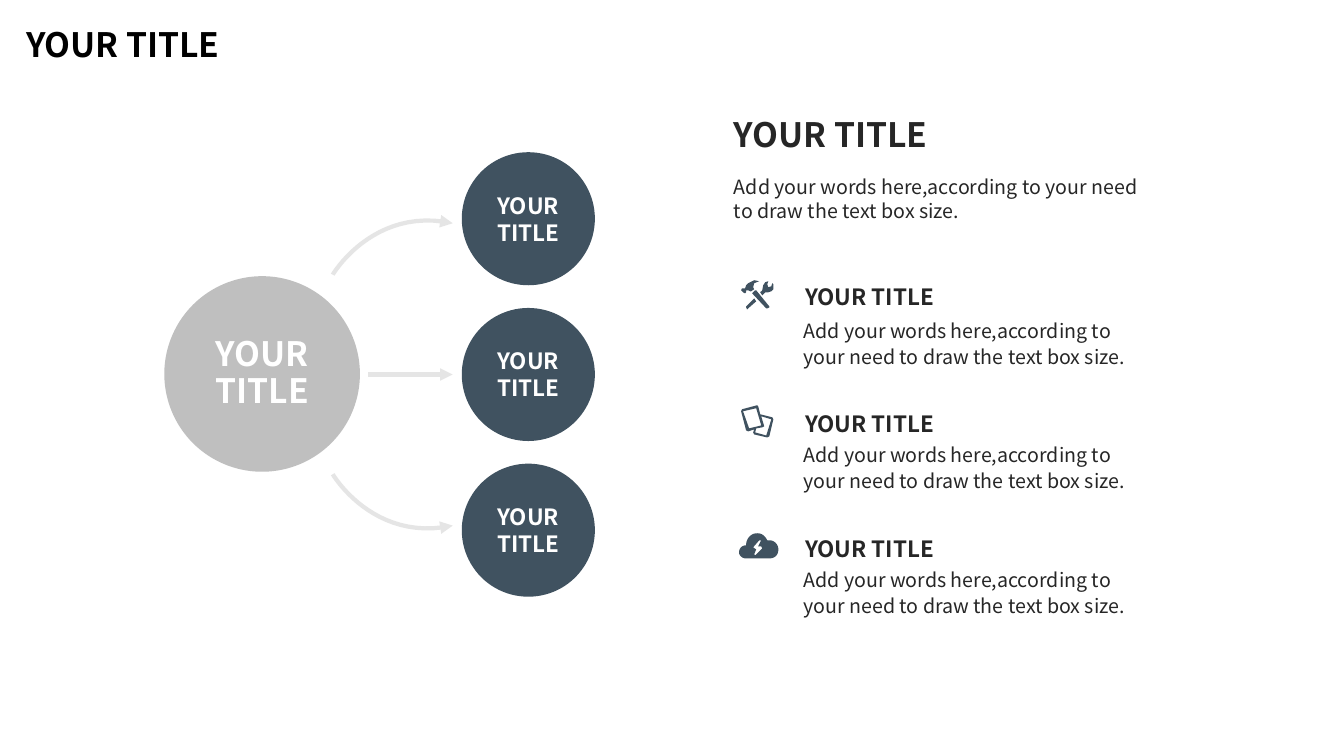
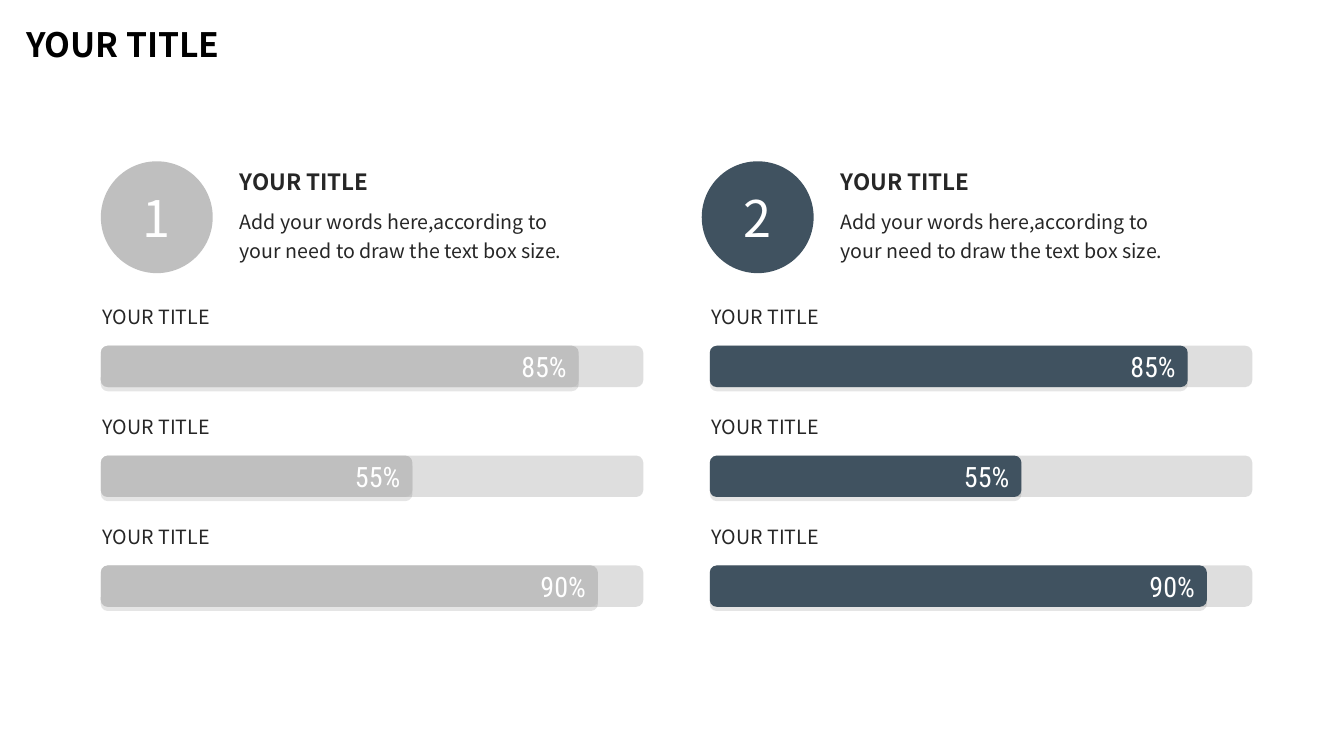
from dataclasses import dataclass
from itertools import chain
from typing import NamedTuple

from lxml.etree import SubElement
from pptx import Presentation
from pptx.dml.color import RGBColor
from pptx.enum.shapes import MSO_CONNECTOR, MSO_SHAPE
from pptx.enum.text import MSO_ANCHOR, MSO_AUTO_SIZE, PP_ALIGN
from pptx.oxml.ns import qn
from pptx.util import Inches, Pt


@dataclass(frozen=True)
class Theme:
    font: str = "Noto Sans CJK SC"
    number_font: str = "Roboto Condensed"
    black: str = "000000"
    ink: str = "262626"
    white: str = "FFFFFF"
    gray: str = "BFBFBF"
    navy: str = "405260"
    arrow: str = "E5E5E5"
    title_size: int = 24
    heading_size: int = 16
    body_size: int = 14
    percent_size: int = 20
    number_size: int = 36
    arrow_width: int = 3


THEME = Theme()
TITLE = "YOUR TITLE"
BODY = "Add your words here,according to your need to draw the text box size."


class TextStyle(NamedTuple):
    size: int
    color: str
    bold: bool = False
    align: PP_ALIGN = PP_ALIGN.LEFT
    spacing: float = 1.0
    font: str = THEME.font
    wrap: bool = True
    margins: tuple = (0.1, 0.05)


class Area(NamedTuple):
    left: float
    top: float
    width: float
    height: float


class Item(NamedTuple):
    heading_top: float
    body_top: float
    icon: tuple


class Bar(NamedTuple):
    value: str
    width: float


class Column(NamedTuple):
    number: str
    color: str
    circle_left: float
    bars_left: float


def curve(points: list, steps: int = 12) -> list:
    """Trace a chain of cubic curves given as start, then triples of controls and end."""
    traced = [points[0]]
    for first in range(0, len(points) - 1, 3):
        for step in range(1, steps + 1):
            t = step / steps
            weights = ((1 - t) ** 3, 3 * t * (1 - t) ** 2, 3 * t * t * (1 - t), t ** 3)
            knots = points[first:first + 4]
            traced.append(tuple(sum(w * k[axis] for w, k in zip(weights, knots))
                                for axis in (0, 1)))
    return traced


TOOLS_ICON = (
    [(7.35, 2.88), (7.37, 2.9), (7.39, 2.91), (7.4, 2.9), (7.4, 2.88), (7.42, 2.88),
     (7.44, 2.89), (7.45, 2.89), (7.48, 2.87), (7.47, 2.85), (7.48, 2.81), (7.53, 2.79),
     (7.48, 2.78), (7.42, 2.81), (7.4, 2.83), (7.39, 2.86), (7.36, 2.86)],
    [(7.5, 2.88), (7.49, 2.88), (7.46, 2.91), (7.6, 3.06), (7.61, 3.06), (7.63, 3.05),
     (7.63, 3.04)],
    [(7.67, 2.82), (7.66, 2.81), (7.65, 2.84), (7.62, 2.85), (7.61, 2.82), (7.62, 2.79),
     (7.59, 2.8), (7.57, 2.83), (7.56, 2.88), (7.54, 2.9), (7.56, 2.93), (7.59, 2.9),
     (7.62, 2.9), (7.65, 2.89), (7.67, 2.87)],
    [(7.4, 3.04), (7.4, 3.05), (7.41, 3.07), (7.42, 3.06), (7.5, 2.99), (7.48, 2.96)],
)
CARDS_ICON = (
    [(7.66, 4.14), (7.54, 4.11), (7.52, 4.03), (7.51, 4.02), (7.36, 4.06), (7.35, 4.08),
     (7.4, 4.27), (7.42, 4.28), (7.48, 4.26), (7.47, 4.29), (7.48, 4.31), (7.61, 4.34),
     (7.63, 4.33), (7.67, 4.16)],
    [(7.37, 4.08), (7.5, 4.05), (7.55, 4.22), (7.43, 4.25)],
    [(7.6, 4.32), (7.49, 4.29), (7.5, 4.25), (7.56, 4.24), (7.58, 4.23), (7.55, 4.13),
     (7.65, 4.16)],
)
CLOUD_ICON = (
    curve([(7.61, 5.36), (7.59, 5.32), (7.56, 5.29), (7.51, 5.29),
           (7.45, 5.29), (7.4, 5.34), (7.4, 5.41),
           (7.36, 5.41), (7.33, 5.44), (7.33, 5.48),
           (7.33, 5.51), (7.36, 5.54), (7.4, 5.54),
           (7.4, 5.54), (7.63, 5.54), (7.63, 5.54),
           (7.68, 5.54), (7.72, 5.51), (7.72, 5.45),
           (7.72, 5.4), (7.68, 5.36), (7.63, 5.36)]),
    [(7.53, 5.36), (7.55, 5.36), (7.52, 5.42), (7.55, 5.42), (7.56, 5.44), (7.49, 5.51),
     (7.48, 5.5), (7.5, 5.45), (7.47, 5.43)],
)

ITEMS = (
    Item(2.76, 3.09, TOOLS_ICON),
    Item(4.02, 4.32, CARDS_ICON),
    Item(5.26, 5.56, CLOUD_ICON),
)
BARS = (Bar("85%", 4.74), Bar("55%", 3.09), Bar("90%", 4.93))
COLUMNS = (
    Column("1", THEME.gray, 1, 1),
    Column("2", THEME.navy, 6.96, 7.04),
)

PAGE_TITLE = TextStyle(THEME.title_size, THEME.black, bold=True)
BODY_STYLE = TextStyle(THEME.body_size, THEME.ink)
HEADING_STYLE = TextStyle(THEME.heading_size, THEME.ink, bold=True)
CIRCLE_STYLE = TextStyle(THEME.heading_size, THEME.white, bold=True,
                         align=PP_ALIGN.CENTER, margins=(0, 0))
LEAD_MARGINS = (0.13, 0.07)


def set_all(target, values: dict) -> None:
    for name, value in values.items():
        setattr(target, name, value)


def write(shape, text: str, style: TextStyle, anchor=MSO_ANCHOR.TOP) -> None:
    frame = shape.text_frame
    across, down = map(Inches, style.margins)
    set_all(frame, {"margin_left": across, "margin_right": across, "margin_top": down,
                    "margin_bottom": down, "word_wrap": style.wrap,
                    "vertical_anchor": anchor})
    para = frame.paragraphs[0]
    set_all(para, {"alignment": style.align, "line_spacing": style.spacing})
    span = para.add_run()
    span.text = text
    set_all(span.font, {"name": style.font, "size": Pt(style.size), "bold": style.bold})
    span.font.color.rgb = RGBColor.from_string(style.color)


def add_text(page, area: Area, text: str, style: TextStyle, grow: bool = True) -> None:
    box = page.shapes.add_textbox(*map(Inches, area))
    write(box, text, style)
    box.text_frame.auto_size = MSO_AUTO_SIZE.SHAPE_TO_FIT_TEXT if grow else MSO_AUTO_SIZE.NONE


def paint(shape, color: str) -> None:
    shape.shadow.inherit = False
    shape.fill.solid()
    shape.fill.fore_color.rgb = RGBColor.from_string(color)
    shape.line.fill.background()


def add_preset(page, kind: MSO_SHAPE, area: Area, color: str):
    shape = page.shapes.add_shape(kind, *map(Inches, area))
    paint(shape, color)
    return shape


def add_circle(page, left: float, top: float, size: float, color: str,
               text: str, style: TextStyle) -> None:
    circle = add_preset(page, MSO_SHAPE.OVAL, Area(left, top, size, size), color)
    write(circle, text, style, MSO_ANCHOR.MIDDLE)


def add_outline(page, contours: tuple, close: bool = True):
    scaled = [[(Inches(x), Inches(y)) for x, y in contour] for contour in contours]
    builder = page.shapes.build_freeform(*scaled[0][0], scale=1.0)
    for index, (start, *rest) in enumerate(scaled):
        if index:
            builder.move_to(*start)
        builder.add_line_segments(rest, close=close)
    return builder.convert_to_shape()


def style_arrow(shape) -> None:
    shape.line.color.rgb = RGBColor.from_string(THEME.arrow)
    shape.line.width = Pt(THEME.arrow_width)
    properties = shape._element.spPr
    SubElement(properties.find(qn("a:ln")), qn("a:tailEnd"), type="triangle")


def add_curved_arrow(page, points: list) -> None:
    arrow = add_outline(page, (curve(points, 24),), close=False)
    arrow.shadow.inherit = False
    arrow.fill.background()
    style_arrow(arrow)


def add_straight_arrow(page, left: float, right: float, y: float) -> None:
    arrow = page.shapes.add_connector(MSO_CONNECTOR.STRAIGHT,
                                      *map(Inches, (left, y, right, y)))
    style_arrow(arrow)
    SubElement(arrow._element.spPr, qn("a:effectLst"))


def set_opacity(shape, percent: int) -> None:
    color = shape._element.spPr.find(qn("a:solidFill")).find(qn("a:srgbClr"))
    SubElement(color, qn("a:alpha"), val=str(percent * 1000))


def drop_shadow(shape) -> None:
    effects = shape._element.spPr.find(qn("a:effectLst"))
    shadow = SubElement(effects, qn("a:outerShdw"), blurRad="0", dist=str(Pt(3)),
                        dir="5400000", algn="t", rotWithShape="0")
    color = SubElement(shadow, qn("a:srgbClr"), val=THEME.black)
    SubElement(color, qn("a:alpha"), val="10000")


def add_page(deck):
    page = deck.slides.add_slide(deck.slide_layouts[6])
    add_text(page, Area(0.16, 0.19, 2.64, 0.5), TITLE, PAGE_TITLE)
    return page


def add_branches(page) -> None:
    """Draw the hub circle, its three branches and the arrows between them."""
    add_circle(page, 1.63, 2.74, 1.94, THEME.gray, TITLE,
               CIRCLE_STYLE._replace(size=THEME.title_size, spacing=0.9))
    for row in range(3):
        add_circle(page, 4.58, 1.51 + row * 1.545, 1.32, THEME.navy, TITLE, CIRCLE_STYLE)
    middle = 3.715
    add_straight_arrow(page, 3.65, 4.49, middle)
    for side in (-1, 1):
        add_curved_arrow(page, [(x, middle + side * rise) for x, rise in
                                ((3.3, 0.99), (3.3, 0.99), (3.7, 1.67), (4.49, 1.5))])


def add_details(page) -> None:
    add_text(page, Area(7.15, 1.06, 2.24, 0.54), TITLE,
             PAGE_TITLE._replace(color=THEME.ink, wrap=False, margins=LEAD_MARGINS))
    add_text(page, Area(7.15, 1.67, 4.27, 0.6), BODY,
             BODY_STYLE._replace(margins=LEAD_MARGINS))
    for item in ITEMS:
        add_text(page, Area(7.87, item.heading_top, 1.51, 0.37), TITLE,
                 HEADING_STYLE._replace(align=PP_ALIGN.CENTER, wrap=False))
        add_text(page, Area(7.87, item.body_top, 3.55, 0.62), BODY,
                 BODY_STYLE._replace(spacing=1.1))
        paint(add_outline(page, item.icon), THEME.navy)


def add_bar(page, column: Column, bar: Bar, top: float) -> None:
    left, height = column.bars_left, 0.41
    add_text(page, Area(left - 0.08, top - 0.43, 3.65, 0.42), TITLE,
             BODY_STYLE._replace(spacing=0.9, wrap=False), grow=False)
    track = add_preset(page, MSO_SHAPE.ROUNDED_RECTANGLE,
                       Area(left, top, 5.38, height), THEME.gray)
    set_opacity(track, 50)
    filled = add_preset(page, MSO_SHAPE.ROUNDED_RECTANGLE,
                        Area(left, top, bar.width, height), column.color)
    drop_shadow(filled)
    write(filled, bar.value,
          TextStyle(THEME.percent_size, THEME.white, align=PP_ALIGN.RIGHT,
                    font=THEME.number_font, wrap=False, margins=(0.1, 0.13)),
          MSO_ANCHOR.MIDDLE)


def add_column(page, column: Column) -> None:
    add_circle(page, column.circle_left, 1.6, 1.11, column.color, column.number,
               CIRCLE_STYLE._replace(size=THEME.number_size, bold=False))
    text_left = column.circle_left + 1.28
    add_text(page, Area(text_left, 1.65, 3.61, 0.34), TITLE,
             HEADING_STYLE._replace(spacing=0.9))
    add_text(page, Area(text_left, 1.99, 3.61, 0.66), BODY, BODY_STYLE._replace(spacing=1.2))
    for row, bar in enumerate(BARS):
        add_bar(page, column, bar, 3.43 + row * 1.09)


def main() -> None:
    deck = Presentation()
    set_all(deck, {"slide_width": Inches(13.33), "slide_height": Inches(7.5)})
    branch_page = add_page(deck)
    add_branches(branch_page)
    add_details(branch_page)
    progress_page = add_page(deck)
    for column in COLUMNS:
        add_column(progress_page, column)
    deck.save("out.pptx")


if __name__ == "__main__":
    main()
